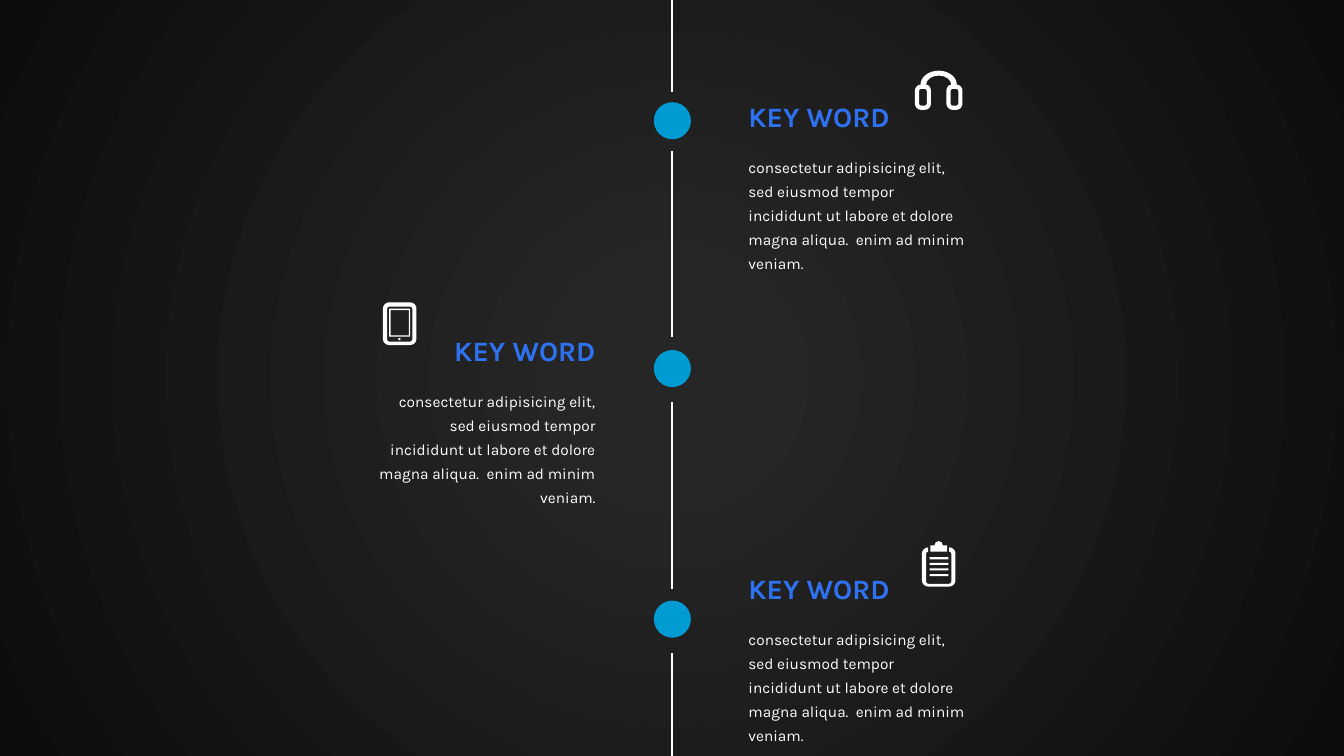
from lxml.etree import Element, SubElement
from pptx import Presentation
from pptx.dml.color import RGBColor
from pptx.enum.shapes import MSO_CONNECTOR, MSO_SHAPE
from pptx.enum.text import MSO_AUTO_SIZE, PP_ALIGN
from pptx.oxml.ns import qn
from pptx.util import Pt

PX = 6350
WIDTH, HEIGHT = 1920, 1080
CORNER = True
BODY = ("consectetur adipisicing elit, sed eiusmod tempor incididunt "
        "ut labore et dolore magna aliqua.  enim ad minim veniam.")


def color(value):
    """Turn a hex string into a colour."""
    return RGBColor.from_string(value)


def rounded(left, top, right, bottom, radius):
    """Return a rounded rectangle, clockwise from its top right corner."""
    return [(right - radius, top), (right, top, CORNER), (right, top + radius),
            (right, bottom - radius), (right, bottom, CORNER), (right - radius, bottom),
            (left + radius, bottom), (left, bottom, CORNER), (left, bottom - radius),
            (left, top + radius), (left, top, CORNER), (left + radius, top)]


def box(left, top, right, bottom):
    """Return the corners of a rectangle."""
    return [(left, top), (right, top), (right, bottom), (left, bottom)]


def toward(start, corner):
    """Return the control point of a quarter arc on the way to its corner."""
    return [a + 0.55 * (b - a) for a, b in zip(start, corner)]


def round_corners(shape, contours):
    """Turn the line that passes each marked corner into a curve."""
    nodes = [node for node in shape.element.find(".//" + qn("a:path"))
             if node.tag != qn("a:close")]
    remaining = iter(nodes)
    for contour in contours:
        for index, point in enumerate(contour):
            if len(point) == 2:
                node = next(remaining)
                continue_from = contour[index - 1]
                if index and len(continue_from) == 3:
                    node.tag = qn("a:cubicBezTo")
                    corner = continue_from[:2]
                    controls = [toward(contour[index - 2], corner), toward(point, corner)]
                    for place, (x, y) in enumerate(controls):
                        node.insert(place, Element(
                            qn("a:pt"), x=str(round(x * PX - shape.left)),
                            y=str(round(y * PX - shape.top))))


class TimelineSlide:
    """Hold the style and the current slide."""

    font = "Karla"
    white = "FFFFFF"
    heading_color = "2E72F1"
    marker_color = "009BD2"

    def __init__(self, presentation):
        self.slide = presentation.slides.add_slide(presentation.slide_layouts[6])
        self.shapes = self.slide.shapes

    def paint(self, shape, fill):
        """Give a shape a plain fill without line or shadow."""
        shape.shadow.inherit = False
        shape.fill.solid()
        shape.fill.fore_color.rgb = color(fill)
        shape.line.fill.background()

    def preset(self, kind, left, top, width, height, fill, shapes=None):
        """Add a preset shape to the slide or to a group."""
        shape = (shapes or self.shapes).add_shape(
            kind, left * PX, top * PX, width * PX, height * PX)
        self.paint(shape, fill)
        return shape

    def backdrop(self, center, edge):
        """Cover the slide with a circular gradient."""
        shape = self.preset(MSO_SHAPE.RECTANGLE, 0, 0, WIDTH, HEIGHT, center)
        shape.fill.gradient()
        stops = shape.fill.gradient_stops
        for stop, position, value in zip(stops, (0.11, 1), (center, edge)):
            stop.position = position
            stop.color.rgb = color(value)
        gradient = shape.element.find(".//" + qn("a:gradFill"))
        gradient.remove(gradient.find(qn("a:lin")))
        path = SubElement(gradient, qn("a:path"), path="circle")
        SubElement(path, qn("a:fillToRect"), l="50000", t="50000", r="50000", b="50000")

    def outline(self, contours, shapes=None):
        """Add one white freeform made of closed contours."""
        first, *others = [[(point[0] * PX, point[1] * PX) for point in contour
                           if len(point) == 2] for contour in contours]
        builder = (shapes or self.shapes).build_freeform(*first[0])
        builder.add_line_segments(first[1:], close=True)
        for anchors in others:
            builder.move_to(*anchors[0])
            builder.add_line_segments(anchors[1:], close=True)
        shape = builder.convert_to_shape()
        round_corners(shape, contours)
        self.paint(shape, self.white)

    def line(self, x, top, bottom):
        """Add a vertical piece of the timeline."""
        connector = self.shapes.add_connector(
            MSO_CONNECTOR.STRAIGHT, x * PX, top * PX, x * PX, bottom * PX)
        connector.line.color.rgb = color(self.white)
        connector.line.width = Pt(1.5)
        SubElement(connector.element.spPr, qn("a:effectLst"))

    def text(self, text, left, top, width, height, size=11, fill=white,
             bold=False, align=PP_ALIGN.LEFT, spacing=1.0):
        """Add a wrapping text box with one paragraph."""
        shape = self.shapes.add_textbox(left * PX, top * PX, width * PX, height * PX)
        frame = shape.text_frame
        frame.word_wrap = True
        frame.auto_size = MSO_AUTO_SIZE.SHAPE_TO_FIT_TEXT
        paragraph = frame.paragraphs[0]
        paragraph.alignment = align
        paragraph.line_spacing = spacing
        run = paragraph.add_run()
        run.text = text
        run.font.name = self.font
        run.font.size = Pt(size)
        run.font.bold = bold
        run.font.color.rgb = color(fill)

    def entry(self, left, top, align):
        """Add a heading with its body text."""
        self.text(BODY, left, top + 76, 345, 153, align=align, spacing=1.3)
        self.text("KEY WORD", left, top, 345, 63, size=20,
                  fill=self.heading_color, bold=True, align=align)

    def headphones(self):
        """Add the headphones icon, whose right half mirrors the left."""
        half = [(1341, 101), (1315, 101, CORNER), (1315, 121), (1307, 121, CORNER),
                (1307, 130), (1307, 148), (1307, 157, CORNER), (1316, 157),
                (1321, 157), (1330, 157, CORNER), (1330, 148), (1330, 130),
                (1330, 121, CORNER), (1323, 121), (1323, 108, CORNER), (1341, 108)]
        mirrored = [(2682 - x, *rest) for x, *rest in half[-2::-1]]
        holes = [rounded(left, 127, left + 11, 151, 3) for left in (1313, 1358)]
        self.outline([half + mirrored, *holes])

    def tablet(self):
        """Add the tablet icon."""
        shapes = self.shapes.add_group_shape().shapes
        self.outline([rounded(547, 432, 595, 493, 9),
                      rounded(553, 438, 589, 488, 3)], shapes)
        self.outline([box(556, 441, 586, 481), box(558, 443, 584, 479)], shapes)
        self.preset(MSO_SHAPE.RECTANGLE, 569, 483, 3, 3, self.white, shapes)

    def clipboard(self):
        """Add the clipboard icon."""
        shapes = self.shapes.add_group_shape().shapes
        inside = rounded(1323, 788, 1359, 834, 3)
        self.outline([rounded(1317, 782, 1365, 838, 9) + inside[::-1]], shapes)
        self.outline([[(1353, 779), (1347, 779), (1347, 773, CORNER), (1341, 773),
                       (1335, 773, CORNER), (1335, 779), (1329, 779),
                       (1329, 788), (1353, 788)]], shapes)
        for row in range(4):
            self.preset(MSO_SHAPE.RECTANGLE, 1328, 796 + 8 * row, 27, 3,
                        self.white, shapes)


def main():
    """Build the timeline slide and save it."""
    presentation = Presentation()
    presentation.slide_width = WIDTH * PX
    presentation.slide_height = HEIGHT * PX
    timeline = TimelineSlide(presentation)
    timeline.backdrop("262626", "0D0D0D")
    for top, bottom in ((0, 131), (216, 482), (575, 841), (933, HEIGHT)):
        timeline.line(960, top, bottom)
    for top in (146, 500, 858):
        timeline.preset(MSO_SHAPE.OVAL, 934, top, 53, 53, timeline.marker_color)
    for left, top, align in ((1055, 135, PP_ALIGN.LEFT), (520, 469, PP_ALIGN.RIGHT),
                             (1055, 809, PP_ALIGN.LEFT)):
        timeline.entry(left, top, align)
    timeline.clipboard()
    timeline.tablet()
    timeline.headphones()
    presentation.save("out.pptx")


if __name__ == "__main__":
    main()
